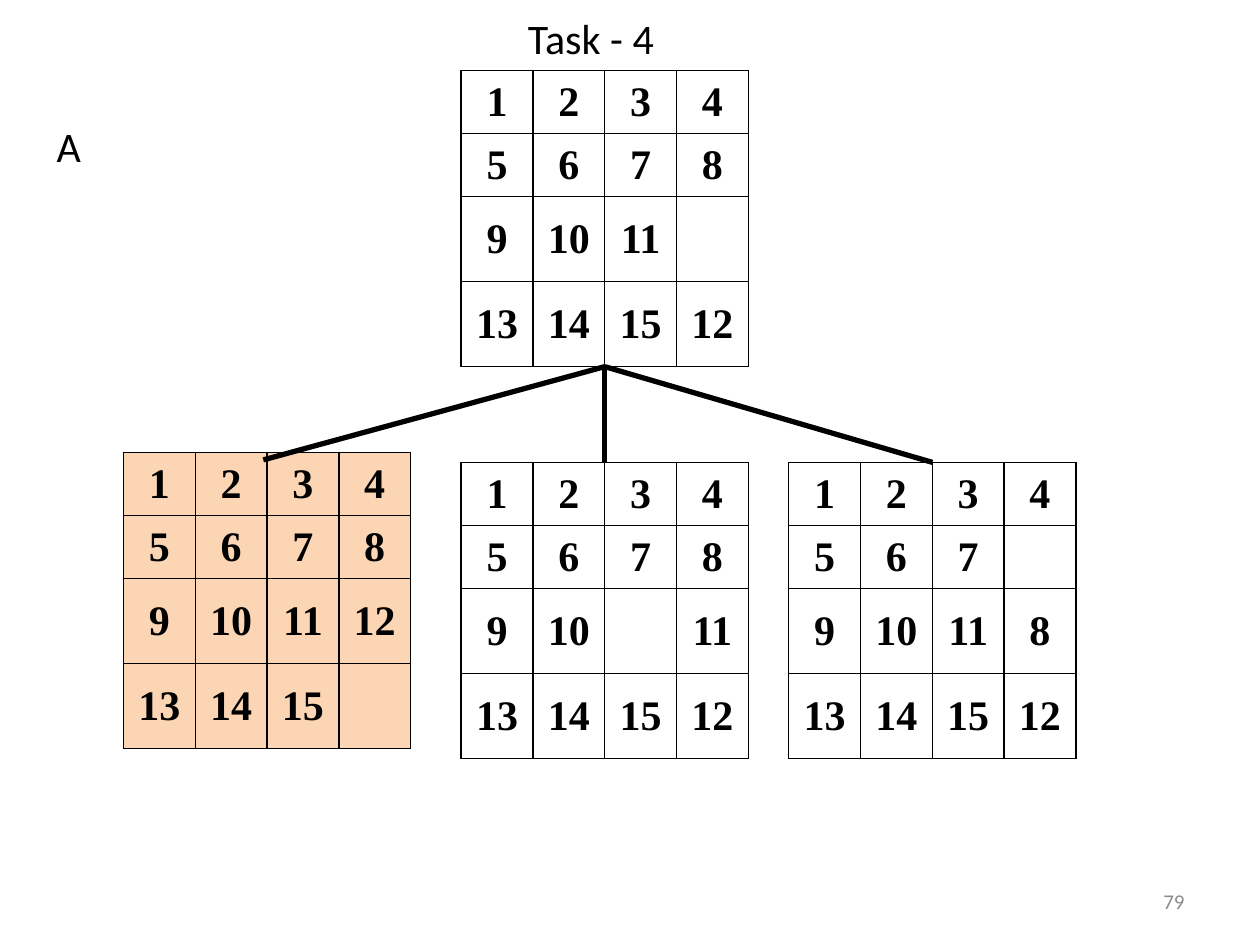
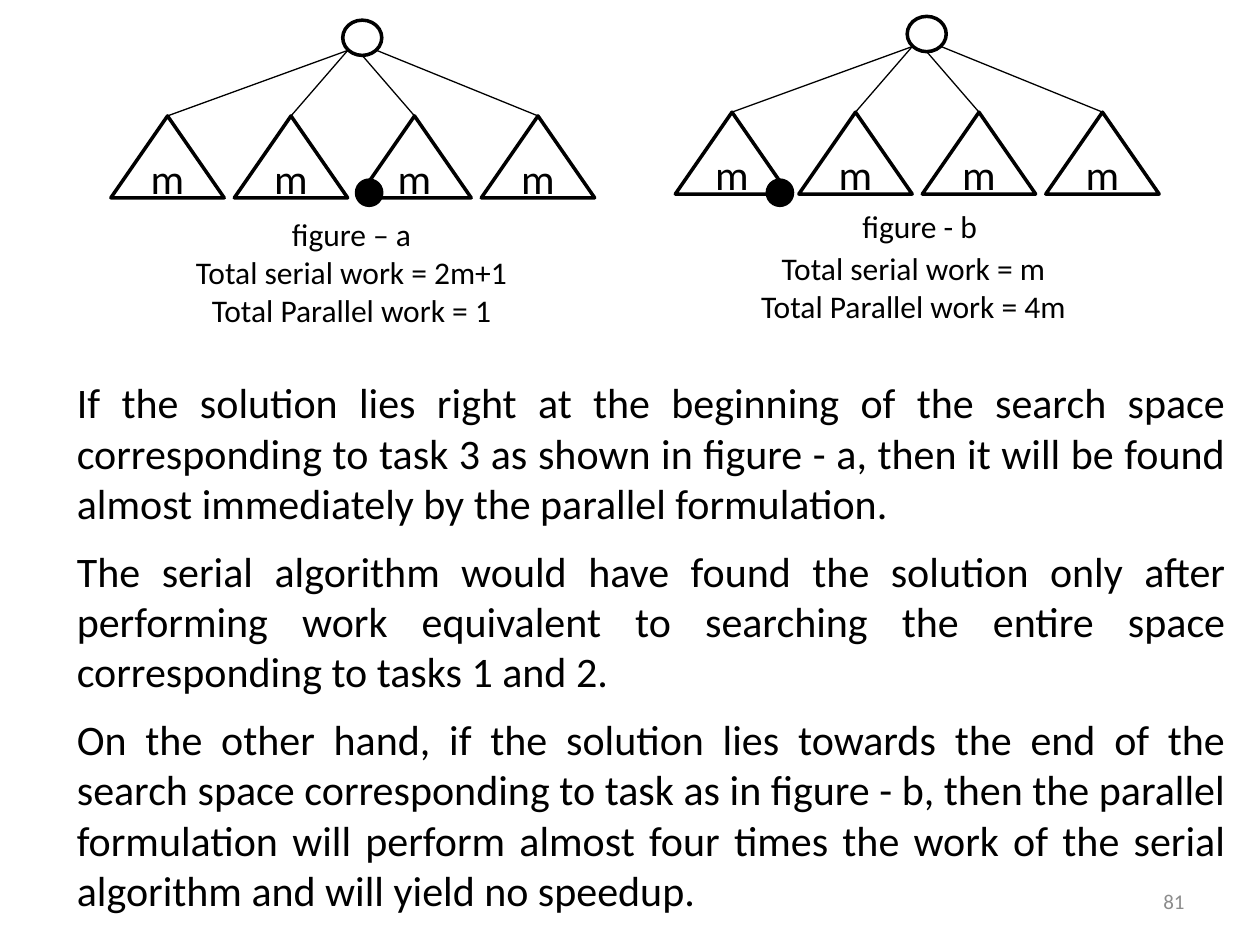
"""Build two slides on parallel search: a puzzle task tree and speedup anomalies."""
from lxml.etree import SubElement
from pptx import Presentation
from pptx.dml.color import RGBColor
from pptx.enum.shapes import MSO_CONNECTOR, MSO_SHAPE
from pptx.enum.text import MSO_ANCHOR, MSO_AUTO_SIZE, PP_ALIGN
from pptx.oxml.ns import qn
from pptx.util import Inches, Pt

COLOURS = {"ink": "000000", "footer": "8C8C8C", "goal": "FCD5B5"}
BODY_FONT = "Calibri"
BOARD_FONT = "Times New Roman"

TITLE = "Task - 4"
TASK_LABEL = "A"
TOP_ROWS = [["1", "2", "3", "4"]]
BOARDS = [
    {"at": (3.66, 0.56), "fill": None, "rows": TOP_ROWS + [
        ["5", "6", "7", "8"], ["9", "10", "11", ""], ["13", "14", "15", "12"]]},
    {"at": (0.98, 3.59), "fill": "goal", "rows": TOP_ROWS + [
        ["5", "6", "7", "8"], ["9", "10", "11", "12"], ["13", "14", "15", ""]]},
    {"at": (3.66, 3.67), "fill": None, "rows": TOP_ROWS + [
        ["5", "6", "7", "8"], ["9", "10", "", "11"], ["13", "14", "15", "12"]]},
    {"at": (6.26, 3.67), "fill": None, "rows": TOP_ROWS + [
        ["5", "6", "7", ""], ["9", "10", "11", "8"], ["13", "14", "15", "12"]]},
]
COLUMN_WIDTH = 0.57
ROW_HEIGHTS = [0.5, 0.5, 0.675, 0.675]
BRANCH_START = (4.8, 2.91)
BRANCH_ENDS = [(2.09, 3.65), (7.4, 3.67), (4.8, 3.67)]

EXPLANATION = [
    "If the solution lies right at the beginning of the search space corresponding to task 3 "
    "as shown in figure - a, then it will be found almost immediately by the parallel formulation.",
    "The serial algorithm would have found the solution only after performing work equivalent "
    "to searching the entire space corresponding to tasks 1 and 2.",
    "On the other hand, if the solution lies towards the end of the search space corresponding "
    "to task as in figure - b, then the parallel formulation will perform almost four times "
    "the work of the serial algorithm and will yield no speedup.",
]
TREES = [
    {"at": (0.88, 0.16), "solution": (2.83, 1.43)},
    {"at": (5.36, 0.13), "solution": (6.09, 1.43)},
]
CAPTIONS = [
    ((1.32, 1.66, 2.94, 1.01),
     ["figure – a", "Total serial work = 2m+1", "Total Parallel work = 1"]),
    ((6.51, 1.59, 1.58, 0.4), ["figure - b"]),
    ((5.78, 1.93, 2.94, 0.71), ["Total serial work = m", "Total Parallel work = 4m"]),
]
SUBTREE_COUNT = 4
SUBTREE_STEP = 0.98
SUBTREE_DROP = 0.76
SUBTREE_SIZE = (0.9, 0.65)
ROOT_OFFSET = 1.84
ROOT_SIZE = (0.31, 0.28)
ROOT_JOINTS = [(0.04, 0.24), (0.04, 0.24), (0.155, 0.28), (0.27, 0.24)]
SOLUTION_SIZE = (0.2, 0.2)


def colour(name):
    return RGBColor.from_string(COLOURS[name])


def box(*lengths):
    return [Inches(length) for length in lengths]


def write(text_frame, lines, size, align=PP_ALIGN.LEFT, anchor=MSO_ANCHOR.TOP,
          font=BODY_FONT, ink="ink", bold=False, gap=0):
    text_frame.text = "\n".join(lines)
    text_frame.vertical_anchor = anchor
    for index, paragraph in enumerate(text_frame.paragraphs):
        paragraph.alignment = align
        paragraph.space_before = Pt(gap if index else 0)
        for run in paragraph.runs:
            run.font.name = font
            run.font.size = Pt(size)
            run.font.bold = bold
            run.font.color.rgb = colour(ink)


def place(placeholder, position, lines, **style):
    placeholder.left, placeholder.top, placeholder.width, placeholder.height = box(*position)
    write(placeholder.text_frame, lines, 24, **style)
    placeholder.text_frame.auto_size = MSO_AUTO_SIZE.NONE
    placeholder.text_frame.word_wrap = True
    for paragraph in placeholder.text_frame.paragraphs:
        properties = paragraph._p.get_or_add_pPr()
        properties.set("marL", "0")
        properties.set("indent", "0")
        SubElement(properties, qn("a:buNone"))


def add_text(slide, position, lines, size, **style):
    text_box = slide.shapes.add_textbox(*box(*position))
    text_box.text_frame.word_wrap = True
    write(text_box.text_frame, lines, size, **style)


def add_slide(presentation, number):
    slide = presentation.slides.add_slide(presentation.slide_layouts[1])
    add_text(slide, (7.17, 6.95, 2.33, 0.4), [number], 12, align=PP_ALIGN.RIGHT,
             anchor=MSO_ANCHOR.MIDDLE, ink="footer")
    return slide


def add_line(shapes, start, end, width):
    line = shapes.add_connector(MSO_CONNECTOR.STRAIGHT, *box(*start, *end))
    line.line.color.rgb = colour("ink")
    line.line.width = Pt(width)
    SubElement(line._element.spPr, qn("a:effectLst"))
    return line


def add_outline(shapes, kind, position, size, filled=False):
    shape = shapes.add_shape(kind, *box(*position, *size))
    shape.shadow.inherit = False
    if filled:
        shape.fill.solid()
        shape.fill.fore_color.rgb = colour("ink")
    else:
        shape.fill.background()
    shape.line.color.rgb = colour("ink")
    shape.line.width = Pt(2)
    return shape


def format_cell(cell, value, fill):
    write(cell.text_frame, [value], 24, align=PP_ALIGN.CENTER, font=BOARD_FONT, bold=True)
    cell.vertical_anchor = MSO_ANCHOR.MIDDLE
    properties = cell._tc.get_or_add_tcPr()
    for side in ("lnL", "lnR", "lnT", "lnB"):
        border = SubElement(properties, qn(f"a:{side}"), w=str(Pt(1)))
        solid = SubElement(border, qn("a:solidFill"))
        SubElement(solid, qn("a:srgbClr"), val=COLOURS["ink"])
    if fill:
        cell.fill.solid()
        cell.fill.fore_color.rgb = colour(fill)
    else:
        cell.fill.background()


def add_board(slide, board):
    rows = board["rows"]
    size = (COLUMN_WIDTH * len(rows[0]), sum(ROW_HEIGHTS))
    table = slide.shapes.add_table(len(rows), len(rows[0]), *box(*board["at"], *size)).table
    table.first_row = table.horz_banding = False
    for column in table.columns:
        column.width = Inches(COLUMN_WIDTH)
    for row_index, values in enumerate(rows):
        table.rows[row_index].height = Inches(ROW_HEIGHTS[row_index])
        for column_index, value in enumerate(values):
            format_cell(table.cell(row_index, column_index), value, board["fill"])


def add_tree(slide, tree):
    shapes = slide.shapes.add_group_shape().shapes
    left, top = tree["at"]
    root_left = left + ROOT_OFFSET
    add_outline(shapes, MSO_SHAPE.OVAL, (root_left, top), ROOT_SIZE)
    for index in range(SUBTREE_COUNT):
        corner = (left + index * SUBTREE_STEP, top + SUBTREE_DROP)
        subtree = add_outline(shapes, MSO_SHAPE.ISOSCELES_TRIANGLE, corner, SUBTREE_SIZE)
        subtree.text_frame.word_wrap = False
        write(subtree.text_frame, ["m"], 24, align=PP_ALIGN.CENTER, anchor=MSO_ANCHOR.MIDDLE)
        joint_x, joint_y = ROOT_JOINTS[index]
        apex = (corner[0] + SUBTREE_SIZE[0] / 2, corner[1])
        branch = add_line(shapes, apex, (root_left + joint_x, top + joint_y), 0.75)
        branch.begin_connect(subtree, 0)
    add_outline(shapes, MSO_SHAPE.OVAL, tree["solution"], SOLUTION_SIZE, filled=True)


def build_task_slide(presentation):
    slide = add_slide(presentation, "79")
    place(slide.shapes.title, (4.09, 0.05, 1.97, 0.5), [TITLE])
    place(slide.placeholders[1], (0.35, 0.91, 9.45, 0.5), [TASK_LABEL])
    for board in BOARDS:
        add_board(slide, board)
    for end in BRANCH_ENDS:
        add_line(slide.shapes, BRANCH_START, end, 3)


def build_speedup_slide(presentation):
    slide = add_slide(presentation, "81")
    title = slide.shapes.title._element
    title.getparent().remove(title)
    place(slide.placeholders[1], (0.51, 2.94, 9.32, 4.41), EXPLANATION,
          align=PP_ALIGN.JUSTIFY, gap=9.8)
    for tree in TREES:
        add_tree(slide, tree)
    for position, lines in CAPTIONS:
        add_text(slide, position, lines, 18, align=PP_ALIGN.CENTER)


def main():
    presentation = Presentation()
    presentation.slide_width, presentation.slide_height = box(10, 7.5)
    build_task_slide(presentation)
    build_speedup_slide(presentation)
    presentation.save("out.pptx")


if __name__ == "__main__":
    main()
